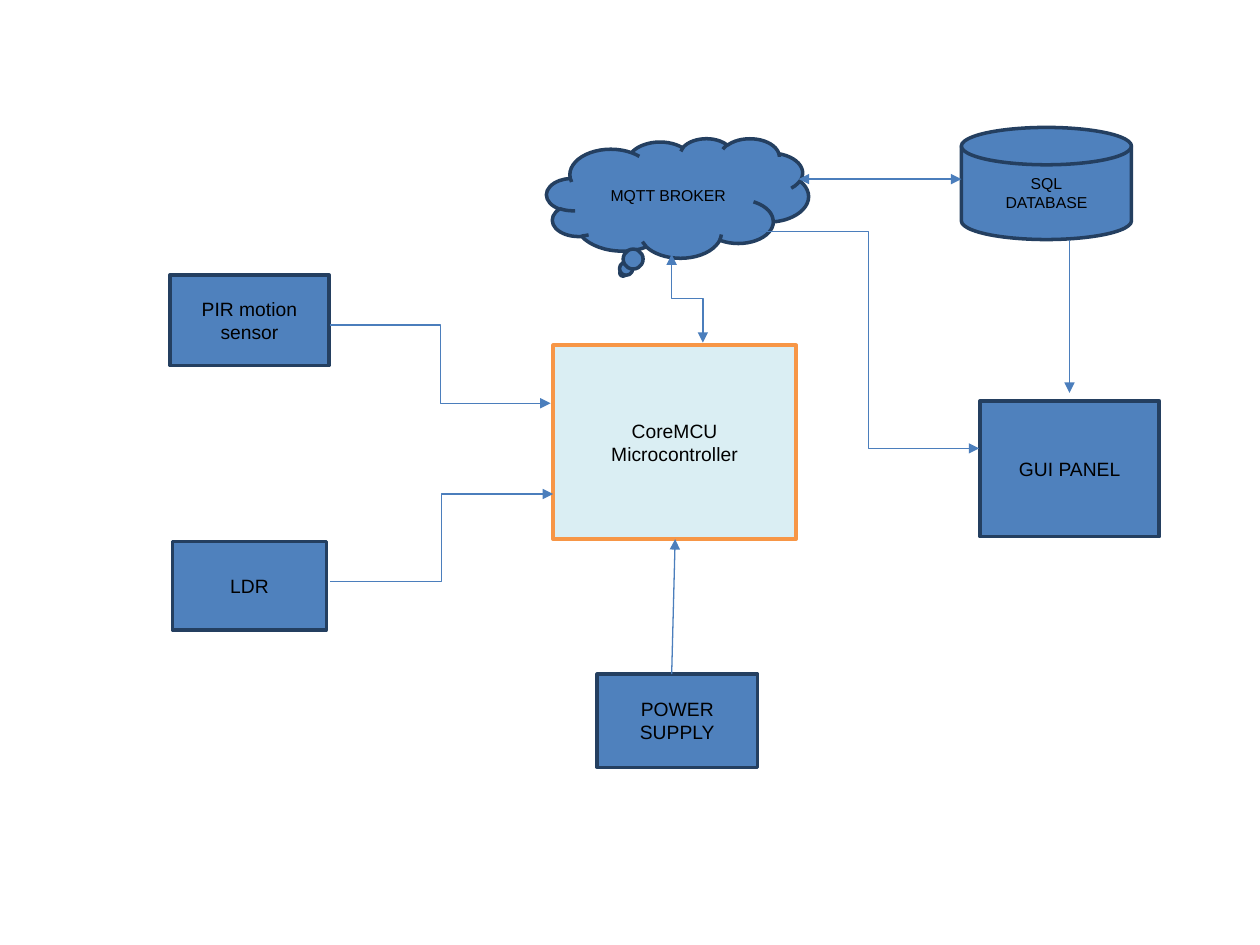
from dataclasses import dataclass

from pptx import Presentation
from pptx.dml.color import RGBColor
from pptx.enum.shapes import MSO_CONNECTOR, MSO_SHAPE
from pptx.enum.text import MSO_ANCHOR, PP_ALIGN
from pptx.oxml.ns import qn
from pptx.oxml.xmlchemy import OxmlElement
from pptx.slide import Slide
from pptx.util import Cm, Pt

BLUE = RGBColor(0x4F, 0x81, 0xBD)
NAVY = RGBColor(0x24, 0x3F, 0x60)
PALE = RGBColor(0xDA, 0xEE, 0xF3)
ORANGE = RGBColor(0xF7, 0x96, 0x46)
WIRE = RGBColor(0x4B, 0x7E, 0xBC)
BLACK = RGBColor(0, 0, 0)
FONT = "Arial"

BOX = MSO_SHAPE.FLOWCHART_PROCESS
CLOUD = MSO_SHAPE.CLOUD_CALLOUT
DISK = MSO_SHAPE.FLOWCHART_MAGNETIC_DISK
STRAIGHT = MSO_CONNECTOR.STRAIGHT
ELBOW = MSO_CONNECTOR.ELBOW
CENTER = PP_ALIGN.CENTER
MIDDLE = MSO_ANCHOR.MIDDLE


@dataclass
class Node:
    """A labelled block; lengths in centimetres."""
    text: str
    left: float
    top: float
    width: float
    height: float
    kind: MSO_SHAPE = BOX
    size: int = 11
    fill: RGBColor = BLUE
    edge: RGBColor = NAVY
    adjust: tuple[float, ...] = ()


@dataclass
class Link:
    """An arrow between two points, in centimetres."""
    start: tuple[float, float]
    end: tuple[float, float]
    kind: MSO_CONNECTOR = STRAIGHT
    both: bool = False
    upright: bool = False


NODES = [
    Node("CoreMCU\nMicrocontroller", 11.15, 6.96, 4.9, 3.91,
         fill=PALE, edge=ORANGE),
    Node("PIR motion sensor", 3.43, 5.54, 3.2, 1.83),
    Node("LDR", 3.48, 10.92, 3.1, 1.78),
    Node("GUI PANEL", 19.76, 8.08, 3.61, 2.74),
    Node("MQTT BROKER", 11.02, 2.79, 5.28, 2.41, CLOUD, 9,
         adjust=(-0.208, 0.625)),
    Node("SQL\nDATABASE", 19.38, 2.57, 3.43, 2.26, DISK, 9),
    Node("POWER SUPPLY", 12.04, 13.59, 3.23, 1.88),
]

LINKS = [
    Link((6.65, 6.55), (11.1, 8.13), ELBOW),
    Link((6.65, 11.73), (11.15, 9.96), ELBOW),
    Link((13.54, 5.13), (14.17, 6.91), ELBOW, both=True, upright=True),
    Link((19.38, 3.61), (16.1, 3.61), both=True),
    Link((15.27, 4.67), (19.74, 9.04), ELBOW),
    Link((13.54, 13.59), (13.61, 10.87)),
    Link((21.56, 4.83), (21.56, 7.92)),
]


def draw_node(slide: Slide, node: Node) -> None:
    """Draw one block with its centred label."""
    shape = slide.shapes.add_shape(
        node.kind, Cm(node.left), Cm(node.top), Cm(node.width), Cm(node.height))
    for index, value in enumerate(node.adjust):
        shape.adjustments[index] = value
    shape.shadow.inherit = False
    shape.fill.solid()
    shape.fill.fore_color.rgb = node.fill
    shape.line.color.rgb = node.edge
    shape.line.width = Pt(2)
    frame = shape.text_frame
    frame.word_wrap = True
    frame.vertical_anchor = MIDDLE
    frame.text = node.text
    for para in frame.paragraphs:
        para.alignment = CENTER
        para.font.name = FONT
        para.font.size = Pt(node.size)
        para.font.color.rgb = BLACK


def draw_link(slide: Slide, link: Link) -> None:
    """Draw one arrow; an upright elbow leaves and arrives vertically."""
    (x1, y1), (x2, y2) = link.start, link.end
    if link.upright:
        # Turn both ends a quarter about the middle; rotation turns them back.
        mid_x, mid_y = (x1 + x2) / 2, (y1 + y2) / 2
        half_w, half_h = (x2 - x1) / 2, (y2 - y1) / 2
        x1, x2 = mid_x + half_h, mid_x - half_h
        y1, y2 = mid_y - half_w, mid_y + half_w
    line = slide.shapes.add_connector(link.kind, Cm(x1), Cm(y1), Cm(x2), Cm(y2))
    line.line.color.rgb = WIRE
    line.line.width = Pt(0.75)
    props = line._element.spPr
    if link.upright:
        props.find(qn("a:xfrm")).set("rot", str(270 * 60000))
    stroke = props.find(qn("a:ln"))
    for tag in ("a:headEnd", "a:tailEnd") if link.both else ("a:tailEnd",):
        tip = OxmlElement(tag)
        tip.set("type", "triangle")
        stroke.append(tip)
    props.append(OxmlElement("a:effectLst"))


def main() -> None:
    """Build the block diagram and save it."""
    deck = Presentation()
    deck.slide_width, deck.slide_height = Cm(25.4), Cm(19.05)
    slide = deck.slides.add_slide(deck.slide_layouts[6])
    for node in NODES:
        draw_node(slide, node)
    for link in LINKS:
        draw_link(slide, link)
    deck.save("out.pptx")


main()
